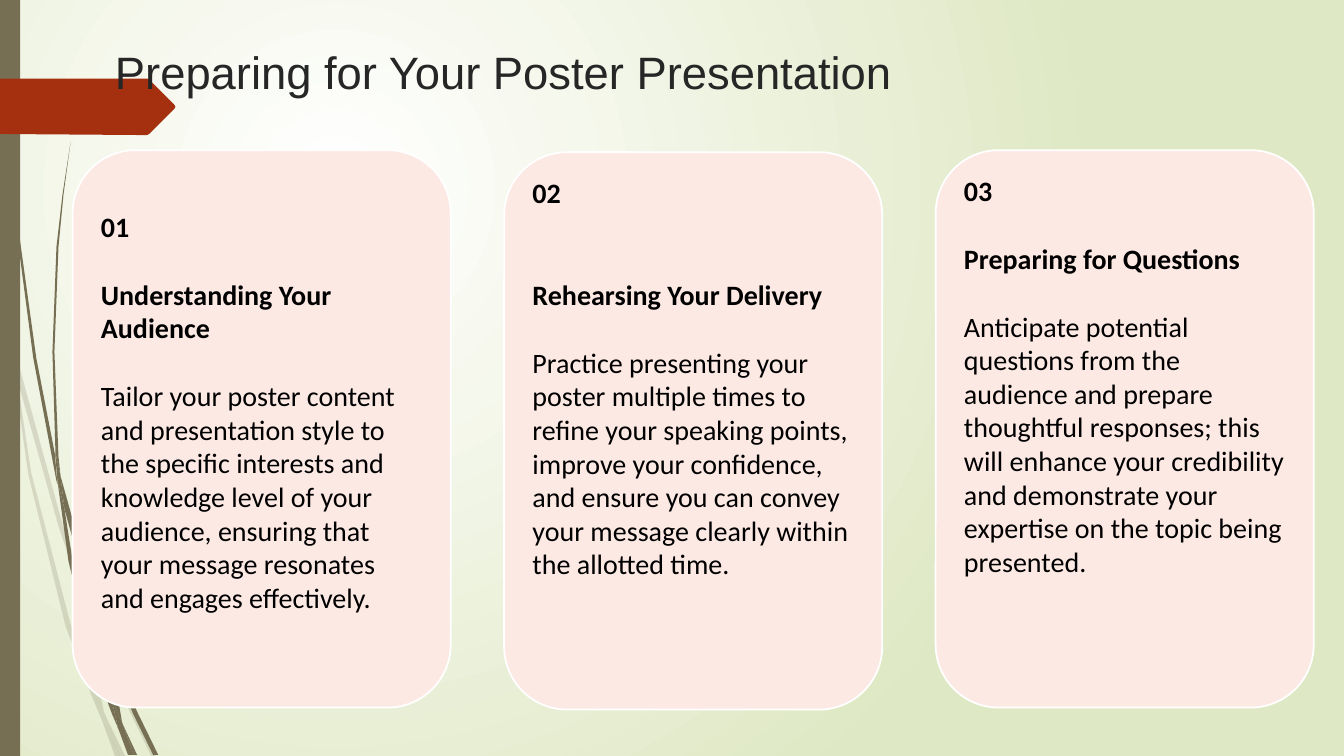
from dataclasses import dataclass
from typing import Any

from lxml.etree import SubElement
from pptx import Presentation
from pptx.dml.color import RGBColor
from pptx.enum.shapes import MSO_SHAPE
from pptx.enum.text import MSO_ANCHOR, PP_ALIGN
from pptx.oxml.ns import qn
from pptx.shapes.base import BaseShape
from pptx.slide import Slide
from pptx.util import Emu, Inches, Pt

COLUMNS, ROWS = 1333, 750
CELL = Inches(0.01)
LINE_HEIGHT = 24.4
OLIVE, RUST, BLUSH, WHITE, SAGE = "766F54", "A53010", "FCE9E4", "FFFFFF", "DFE8C4"

Points = tuple[tuple[int, int], ...]


@dataclass(frozen=True)
class Card:
    number: str
    heading: str
    body: str
    top: int = 149
    heading_gap: int = 1
    anchor: MSO_ANCHOR = MSO_ANCHOR.TOP
    bottom_inset: int = 5


@dataclass(frozen=True)
class Outline:
    points: Points
    colour: str = OLIVE
    opacity: int = 100


CARDS = (
    Card("01", "Understanding Your Audience",
         "Tailor your poster content and presentation style to the specific interests and "
         "knowledge level of your audience, ensuring that your message resonates and engages "
         "effectively.", anchor=MSO_ANCHOR.MIDDLE, bottom_inset=39),
    Card("02", "Rehearsing Your Delivery",
         "Practice presenting your poster multiple times to refine your speaking points, improve "
         "your confidence, and ensure you can convey your message clearly within the allotted "
         "time.", top=151, heading_gap=2),
    Card("03", "Preparing for Questions",
         "Anticipate potential questions from the audience and prepare thoughtful responses; this "
         "will enhance your credibility and demonstrate your expertise on the topic being "
         "presented."),
)

PALE_BLADES: tuple[Points, ...] = (
    ((11, 350), (9, 322), (0, 282), (0, 299), (10, 344)),
    ((58, 522), (84, 599), (85, 586), (62, 520), (14, 345), (17, 376)),
    ((92, 607), (88, 596), (88, 610), (123, 694), (150, 750), (155, 750), (127, 692)),
    ((119, 750), (124, 750), (105, 711)),
    ((93, 683), (70, 619), (31, 469), (17, 376), (11, 350), (28, 470), (65, 621), (92, 693),
     (101, 714), (99, 707)),
    ((84, 599), (87, 646), (93, 683), (96, 692), (105, 711), (103, 706), (91, 646), (88, 610),
     (88, 608)),
    ((101, 714), (114, 750), (119, 750)),
    ((96, 692), (93, 683), (99, 707), (101, 714), (119, 750), (105, 711)),
)

DARK_BLADES: tuple[Points, ...] = (
    ((7, 110), (17, 233), (33, 355), (56, 477), (57, 481), (55, 457), (55, 453), (36, 355),
     (19, 232), (8, 109), (5, 48), (4, 0), (3, 0), (4, 48)),
    ((88, 592), (106, 645), (106, 631), (93, 590), (60, 472), (64, 505)),
    ((113, 649), (110, 641), (111, 656), (132, 708), (152, 749), (157, 749), (136, 706)),
    ((110, 691), (98, 657), (72, 556), (64, 505), (57, 477), (68, 557), (93, 659), (111, 708),
     (117, 722), (116, 717)),
    ((60, 472), (58, 453), (54, 349), (58, 245), (63, 193), (70, 141), (62, 193), (56, 245),
     (52, 349), (55, 449)),
    ((133, 749), (136, 749), (122, 719)),
    ((57, 477), (64, 505), (60, 472), (55, 449), (55, 453)),
    ((117, 722), (127, 749), (131, 749)),
    ((106, 645), (110, 691), (116, 706), (122, 719), (121, 716), (111, 656), (109, 651)),
    ((116, 706), (110, 691), (116, 717), (117, 722), (130, 749), (133, 749), (122, 719)),
)

ARROW: Points = (
    (173, 108), (148, 133), (146, 134), (136, 134), (0, 133), (0, 78), (146, 78), (148, 79),
    (173, 104), (174, 106),
)


def colour_of(hex_value: str) -> RGBColor:
    return RGBColor.from_string(hex_value)


def cells(count: float) -> Emu:
    return Emu(round(count * CELL))


def apply_format(target: Any, values: dict[str, Any]) -> None:
    for name, value in values.items():
        setattr(target, name, value)


def place(left: int, top: int, width: int, height: int) -> dict[str, Emu]:
    return {"left": cells(left), "top": cells(top), "width": cells(width), "height": cells(height)}


def paint(shape: BaseShape, colour: str) -> None:
    shape.shadow.inherit = False
    shape.fill.solid()
    shape.fill.fore_color.rgb = colour_of(colour)
    shape.line.fill.background()


def paint_background(slide: Slide) -> None:
    fill = slide.background.fill
    fill.gradient()
    for stop, colour in zip(fill.gradient_stops, (WHITE, SAGE)):
        stop.color.rgb = colour_of(colour)
    gradient = slide.element.find(".//" + qn("a:gradFill"))
    gradient.remove(gradient.find(qn("a:lin")))
    circle = SubElement(gradient, qn("a:path"), {"path": "circle"})
    SubElement(circle, qn("a:fillToRect"),
               {"l": "50000", "t": "50000", "r": "100000", "b": "100000"})


def draw_outline(slide: Slide, outline: Outline) -> None:
    start, *others = outline.points
    builder = slide.shapes.build_freeform(*start, scale=float(CELL))
    builder.add_line_segments(others, close=True)
    shape = builder.convert_to_shape()
    paint(shape, outline.colour)
    if outline.opacity < 100:
        colour = shape.element.spPr.find(qn("a:solidFill")).find(qn("a:srgbClr"))
        SubElement(colour, qn("a:alpha"), {"val": str(outline.opacity * 1000)})


def draw_title(slide: Slide, text: str) -> None:
    title = slide.shapes.title
    slide.shapes.element.append(title.element)
    apply_format(title, place(104, 34, 1155, 96))
    frame = title.text_frame
    frame.text = text
    apply_format(frame, {"vertical_anchor": MSO_ANCHOR.TOP, "margin_top": cells(10),
                         "word_wrap": True})
    paragraph = frame.paragraphs[0]
    paragraph.alignment = PP_ALIGN.LEFT
    apply_format(paragraph.font, {"name": "Arial", "size": Pt(32.4)})
    paragraph.font.color.rgb = colour_of("262626")


def draw_card(slide: Slide, card: Card, index: int) -> None:
    box = place(72 + 428 * index, card.top, 375, 553)
    shape = slide.shapes.add_shape(MSO_SHAPE.ROUNDED_RECTANGLE, *box.values())
    paint(shape, BLUSH)
    shape.line.color.rgb = colour_of(WHITE)
    shape.line.width = Pt(1.25)
    frame = shape.text_frame
    apply_format(frame, {"word_wrap": True, "vertical_anchor": card.anchor,
                         "margin_bottom": cells(card.bottom_inset)})
    lines = ((card.number, True, 0), (card.heading, True, card.heading_gap), (card.body, False, 1))
    for position, (text, bold, gap) in enumerate(lines):
        paragraph = frame.add_paragraph() if position else frame.paragraphs[0]
        paragraph.text = text
        apply_format(paragraph, {"alignment": PP_ALIGN.LEFT, "space_before": Pt(gap * LINE_HEIGHT)})
        apply_format(paragraph.font, {"name": "Calibri", "size": Pt(20), "bold": bold})
        paragraph.font.color.rgb = colour_of("000000")


def main() -> None:
    presentation = Presentation()
    apply_format(presentation, {"slide_width": cells(COLUMNS), "slide_height": cells(ROWS)})
    slide = presentation.slides.add_slide(presentation.slide_layouts[5])
    paint_background(slide)
    for blade in PALE_BLADES:
        draw_outline(slide, Outline(blade, opacity=20))
    for blade in DARK_BLADES:
        draw_outline(slide, Outline(blade))
    band = slide.shapes.add_shape(MSO_SHAPE.RECTANGLE, *place(0, 0, 20, ROWS).values())
    paint(band, OLIVE)
    draw_outline(slide, Outline(ARROW, RUST))
    draw_title(slide, "Preparing for Your Poster Presentation")
    for index, card in enumerate(CARDS):
        draw_card(slide, card, index)
    presentation.save("out.pptx")


if __name__ == "__main__":
    main()
